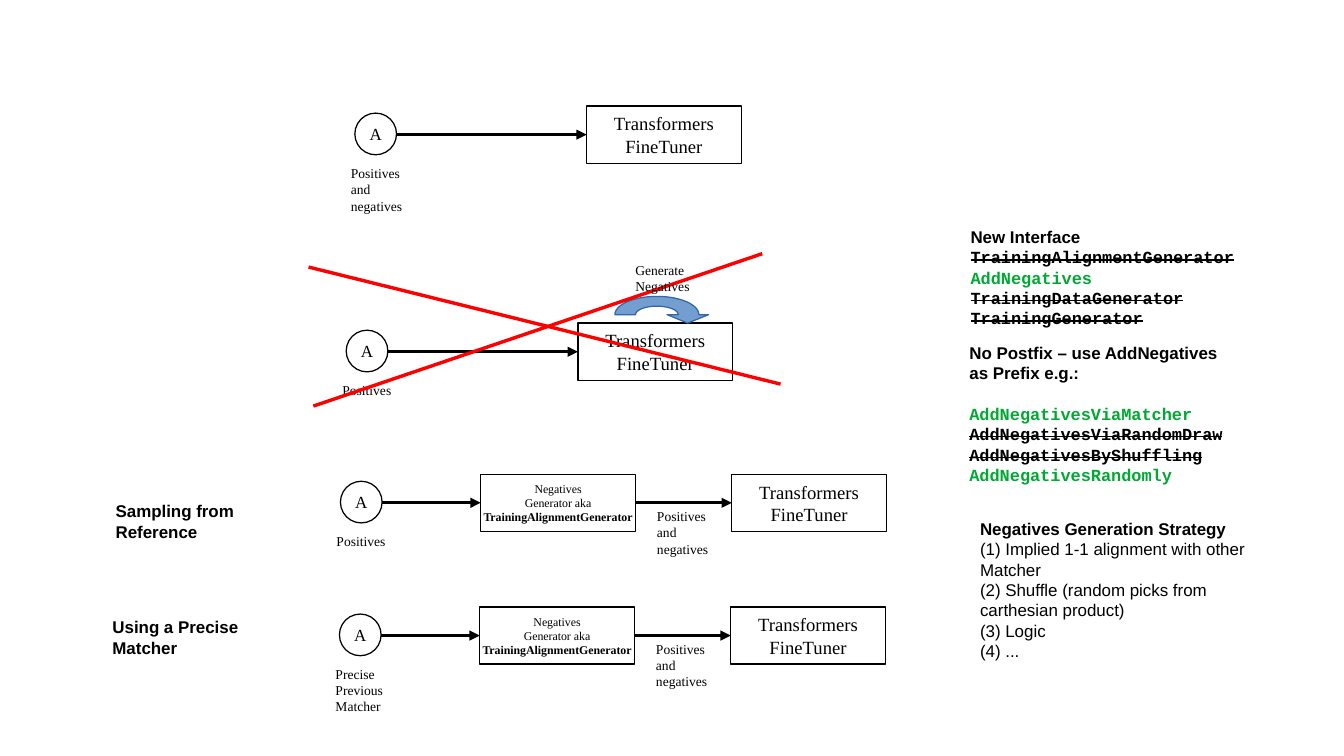
"""Draw the fine-tuning pipelines and the naming notes on one slide."""
from dataclasses import dataclass
from math import cos, pi, sin

from lxml import etree
from pptx import Presentation
from pptx import util as u
from pptx.dml import color as dml
from pptx.enum import shapes, text
from pptx.oxml import ns

Pt = u.Pt


@dataclass(frozen=True)
class Theme:
    ink: str = "000000"
    paper: str = "FFFFFF"
    chosen: str = "00A933"
    reject: str = "FF0000"
    loop_fill: str = "729FCF"
    loop_line: str = "3465A4"
    serif: str = "Times New Roman"
    sans: str = "Arial"
    mono: str = "Courier New"
    box_size: float = 11
    note_size: float = 10
    label_size: float = 8
    generator_size: float = 7


THEME = Theme()


@dataclass(frozen=True)
class Line:
    words: str
    size: float = THEME.label_size
    face: str = THEME.serif
    color: str = THEME.ink
    bold: bool = False
    strike: bool = False
    before: float = 0


@dataclass(frozen=True)
class Box:
    left: float
    top: float
    width: float
    height: float


@dataclass(frozen=True)
class Pipeline:
    left: float
    top: float
    inputs: tuple[str, ...]
    generates: bool = False


@dataclass(frozen=True)
class Note:
    box: Box
    lines: tuple[Line, ...]


def heading(words: str) -> Line:
    return Line(words, THEME.note_size, THEME.sans, bold=True)


def item(words: str) -> Line:
    return Line(words, THEME.note_size, THEME.sans)


def kept(words: str, before: float = 0) -> Line:
    return Line(words, THEME.note_size, THEME.mono, THEME.chosen, True, before=before)


def dropped(words: str) -> Line:
    return Line(words, THEME.note_size, THEME.mono, bold=True, strike=True)


BOX_WIDTH, BOX_HEIGHT, CIRCLE = 91.4, 33.8, 24.6
LABEL_WIDTH = 46.1
MIXED = "Positives and negatives"
TRAINER = tuple(Line(word, THEME.box_size) for word in ("Transformers", "FineTuner"))
GENERATOR = (
    Line("Negatives", THEME.generator_size),
    Line("Generator aka", THEME.generator_size),
    Line("TrainingAlignmentGenerator", THEME.generator_size, bold=True),
)
PIPELINES = (
    Pipeline(209.5, 62.6, (MIXED,)),
    Pipeline(204.4, 190.8, ("Positives",)),
    Pipeline(201, 280, ("Positives",), True),
    Pipeline(200.4, 358.4, ("Precise Previous", "Matcher"), True),
)
NOTES = (
    Note(Box(368, 151.2, 52.6, 31), (Line("Generate Negatives"),)),
    Note(Box(61.2, 292.3, 174.2, 47.5), (heading("Sampling from"), heading("Reference"))),
    Note(Box(59.3, 360.7, 174.2, 47.5), (heading("Using a Precise"), heading("Matcher"))),
    Note(Box(565.9, 130.3, 174.2, 63.4), (
        heading("New Interface"), dropped("TrainingAlignmentGenerator"), kept("AddNegatives"),
        dropped("TrainingDataGenerator"), dropped("TrainingGenerator"))),
    Note(Box(565.2, 198.7, 174.2, 85.7), (
        heading("No Postfix – use AddNegatives as Prefix e.g.:"),
        kept("AddNegativesViaMatcher", 12), dropped("AddNegativesViaRandomDraw"),
        dropped("AddNegativesByShuffling"), kept("AddNegativesRandomly"))),
)
STRATEGY = Note(Box(571.5, 302.6, 174.2, 85), (
    heading("Negatives Generation Strategy"), item("(1) Implied 1-1 alignment with other Matcher"),
    item("(2) Shuffle (random picks from carthesian product)"), item("(3) Logic"), item("(4) ...")))
REJECTION = ((182.2, 157.7, 460.8, 226.8), (185, 239.8, 450, 149.8))


def rgb(color: str) -> dml.RGBColor:
    return dml.RGBColor.from_string(color)


def write(shape, lines: tuple[Line, ...], wrap: bool = True, centred: bool = False) -> None:
    frame = shape.text_frame
    frame.word_wrap = wrap
    frame.auto_size = text.MSO_AUTO_SIZE.NONE
    frame.vertical_anchor = text.MSO_ANCHOR.MIDDLE if centred else text.MSO_ANCHOR.TOP
    frame.margin_left = frame.margin_right = Pt(7.1)
    frame.margin_top = frame.margin_bottom = Pt(3.5)
    for index, line in enumerate(lines):
        paragraph = frame.add_paragraph() if index else frame.paragraphs[0]
        paragraph.alignment = text.PP_ALIGN.CENTER if centred else text.PP_ALIGN.LEFT
        paragraph.space_before = Pt(line.before)
        run = paragraph.add_run()
        run.text = line.words
        run.font.size, run.font.name, run.font.bold = Pt(line.size), line.face, line.bold
        run.font.color.rgb = rgb(line.color)
        if line.strike:
            run._r.get_or_add_rPr().set("strike", "sngStrike")


def paint(shape, fill: str, outline: str) -> None:
    shape.shadow.inherit = False
    shape.fill.solid()
    shape.fill.fore_color.rgb = rgb(fill)
    shape.line.color.rgb = rgb(outline)
    shape.line.width = Pt(0)


def place(slide, kind: shapes.MSO_SHAPE, box: Box, lines: tuple[Line, ...]) -> None:
    shape = slide.shapes.add_shape(kind, Pt(box.left), Pt(box.top), Pt(box.width), Pt(box.height))
    paint(shape, THEME.paper, THEME.ink)
    write(shape, lines, wrap=False, centred=True)


def annotate(slide, note: Note) -> None:
    box = note.box
    write(slide.shapes.add_textbox(Pt(box.left), Pt(box.top), Pt(box.width), Pt(box.height)), note.lines)


def connect(slide, ends: tuple[float, ...], color: str, arrow: bool = False) -> None:
    connector = slide.shapes.add_connector(shapes.MSO_CONNECTOR.STRAIGHT, *map(Pt, ends))
    connector.line.color.rgb = rgb(color)
    connector.line.width = Pt(0)
    properties = connector.element.spPr
    if arrow:
        etree.SubElement(properties.find(ns.qn("a:ln")), ns.qn("a:tailEnd"), type="triangle")
    etree.SubElement(properties, ns.qn("a:effectLst"))


def draw_pipeline(slide, flow: Pipeline) -> None:
    middle = flow.top + BOX_HEIGHT / 2
    stages = ((82.8, GENERATOR), (231, TRAINER)) if flow.generates else ((136.8, TRAINER),)
    start = flow.left + CIRCLE
    for offset, lines in stages:
        left = flow.left + offset
        connect(slide, (start, middle, left, middle), THEME.ink, arrow=True)
        place(slide, shapes.MSO_SHAPE.RECTANGLE, Box(left, flow.top, BOX_WIDTH, BOX_HEIGHT), lines)
        start = left + BOX_WIDTH
    circle = Box(flow.left, flow.top + 4.2, CIRCLE, CIRCLE)
    place(slide, shapes.MSO_SHAPE.OVAL, circle, (Line("A", THEME.note_size),))
    label = Box(flow.left - 9.4, flow.top + 31.4, LABEL_WIDTH, BOX_HEIGHT)
    annotate(slide, Note(label, tuple(map(Line, flow.inputs))))
    if flow.generates:
        annotate(slide, Note(Box(flow.left + 179.8, flow.top + 16.6, LABEL_WIDTH, BOX_HEIGHT), (Line(MIXED),)))


def draw_loop(slide) -> None:
    center, base, steps = 387.8, 185.8, 24
    angles = [pi * step / steps for step in range(steps + 1)]
    inner = [(center + 12.6 * cos(a), base - 5 * sin(a)) for a in angles]
    outer = [(center - 24.8 * cos(a), base - 10.8 * sin(a)) for a in angles]
    head = [(418.3, base), (406, 190.8), (393.8, base)]
    first, *rest = [(Pt(x), Pt(y)) for x, y in inner + outer + head]
    builder = slide.shapes.build_freeform(*first)
    builder.add_line_segments(rest, close=True)
    paint(builder.convert_to_shape(), THEME.loop_fill, THEME.loop_line)


def list_strategy(slide) -> None:
    body, box = slide.placeholders[1], STRATEGY.box
    body.left, body.top, body.width, body.height = map(Pt, (box.left, box.top, box.width, box.height))
    write(body, STRATEGY.lines)
    for paragraph in body.text_frame.paragraphs:
        properties = paragraph._p.get_or_add_pPr()
        properties.set("marL", "0")
        properties.set("indent", "0")
        etree.SubElement(properties, ns.qn("a:buNone"))


def main() -> None:
    deck = Presentation()
    deck.slide_width, deck.slide_height = Pt(793.44), Pt(446.4)
    slide = deck.slides.add_slide(deck.slide_layouts[1])
    title = slide.shapes.title.element
    title.getparent().remove(title)
    list_strategy(slide)
    for flow in PIPELINES:
        draw_pipeline(slide, flow)
    draw_loop(slide)
    for ends in REJECTION:
        connect(slide, ends, THEME.reject)
    for note in NOTES:
        annotate(slide, note)
    deck.save("out.pptx")


if __name__ == "__main__":
    main()
